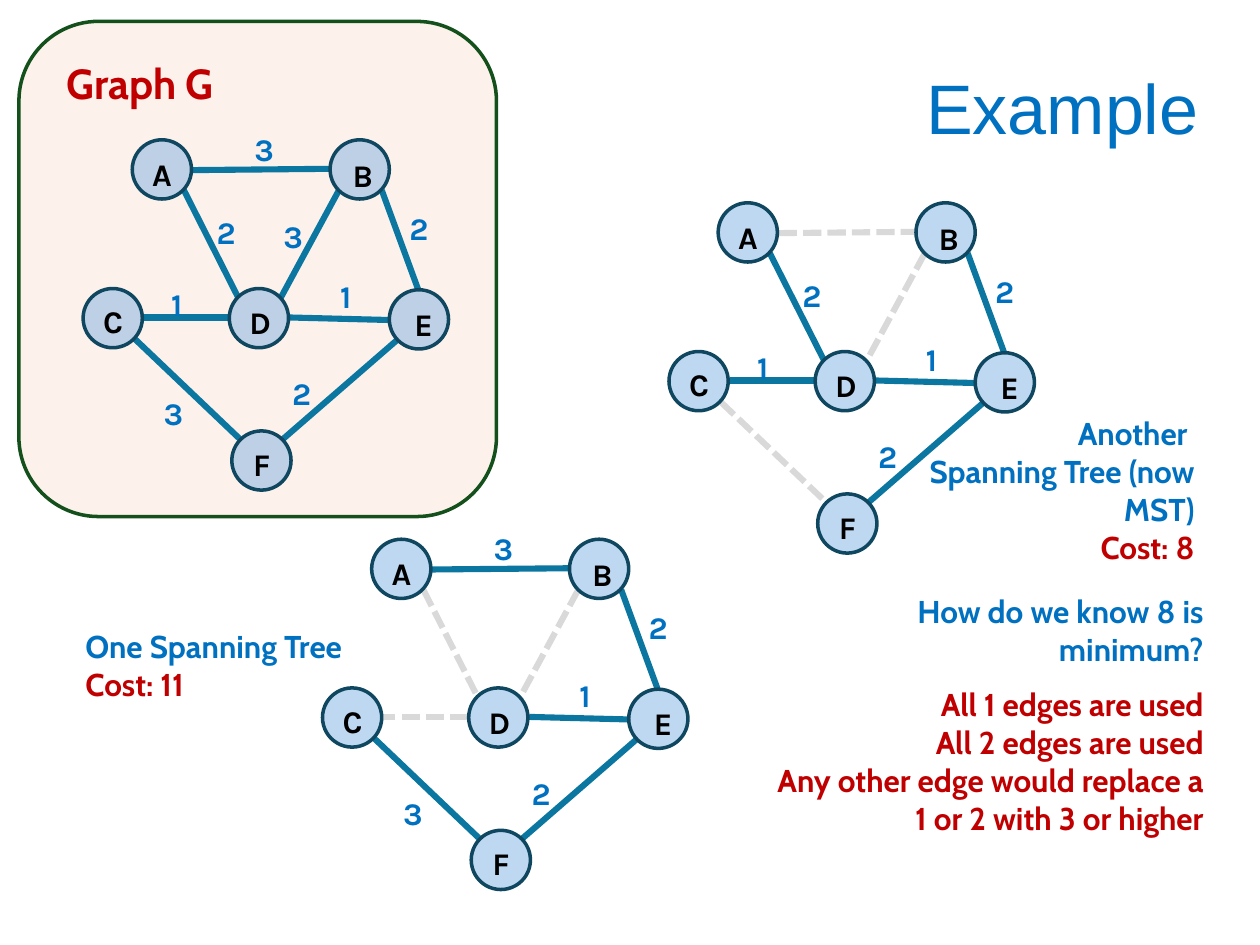
"""Builds the slide comparing a weighted graph with two of its spanning trees."""
from lxml.etree import SubElement
from pptx import Presentation
from pptx.dml.color import RGBColor
from pptx.enum.dml import MSO_LINE
from pptx.enum.shapes import MSO_CONNECTOR, MSO_SHAPE
from pptx.enum.text import MSO_ANCHOR, MSO_AUTO_SIZE, PP_ALIGN
from pptx.oxml.ns import qn
from pptx.util import Inches, Pt

BLUE = RGBColor(0x00, 0x70, 0xC0)
RED = RGBColor(0xC0, 0x00, 0x00)
BLACK = RGBColor(0x00, 0x00, 0x00)
NODE_FILL = RGBColor(0x71, 0xAA, 0xE0)
NODE_LINE = RGBColor(0x10, 0x47, 0x60)
EDGE = RGBColor(0x0B, 0x76, 0xA0)
UNUSED = RGBColor(0xD9, 0xD9, 0xD9)
PANEL_FILL = RGBColor(0xFB, 0xE3, 0xD6)
PANEL_LINE = RGBColor(0x13, 0x50, 0x1B)

NODE_SIZE = 0.47
LABEL_SIZE = (0.41, 0.4)

NODES = {
    "A": ((0, 0), (0.06, 0.07)),
    "B": ((1.57, 0), (0.08, 0.08)),
    "C": ((-0.39, 1.18), (0.06, 0.06)),
    "D": ((0.77, 1.18), (0.06, 0.07)),
    "E": ((2.04, 1.19), (0.1, 0.07)),
    "F": ((0.79, 2.31), (0.07, 0.06)),
}
EDGES = {
    "AB": ("3", (0.48, 0.24), (1.57, 0.23), (0.87, -0.13)),
    "AD": ("2", (0.41, 0.4), (0.84, 1.25), (0.57, 0.53)),
    "BD": ("3", (1.64, 0.4), (1.18, 1.25), (1.1, 0.56)),
    "BE": ("2", (1.98, 0.4), (2.27, 1.19), (2.1, 0.5)),
    "CD": ("1", (0.77, 1.41), (0.09, 1.41), (0.21, 1.1)),
    "DE": ("1", (2.04, 1.43), (1.25, 1.41), (1.55, 1.04)),
    "CF": ("3", (0.02, 1.58), (0.86, 2.38), (0.15, 1.97)),
    "EF": ("2", (2.1, 1.59), (1.19, 2.38), (1.17, 1.81)),
}


class Board:
    """Holds the text styles and the slide being drawn."""

    label = {"name": "Karla", "size": Pt(18), "bold": True}
    note = {"name": "Cabin", "size": Pt(18), "bold": True}
    heading = {"name": "Cabin", "size": Pt(24), "bold": True}
    title = {"name": "Arial", "size": Pt(40), "bold": False}

    def __init__(self, s):
        self.s = s

    def text(self, shapes, box, lines, style, align=PP_ALIGN.LEFT, **spacing):
        tb = shapes.add_textbox(*map(Inches, box))
        tf = tb.text_frame
        tf.word_wrap = True
        tf.auto_size = MSO_AUTO_SIZE.SHAPE_TO_FIT_TEXT
        for i, (words, color) in enumerate(lines):
            p = tf.add_paragraph() if i else tf.paragraphs[0]
            for key, value in {"alignment": align, **spacing}.items():
                setattr(p, key, value)
            r = p.add_run()
            r.text = words
            for key, value in style.items():
                setattr(r.font, key, value)
            r.font.color.rgb = color
        return tf

    def shape(self, shapes, kind, box, fill, line, opacity):
        sp = shapes.add_shape(kind, *map(Inches, box))
        sp.shadow.inherit = False
        sp.fill.solid()
        sp.fill.fore_color.rgb = fill
        color = sp._element.spPr.find(qn("a:solidFill")).find(qn("a:srgbClr"))
        SubElement(color, qn("a:alpha"), val=str(opacity * 1000))
        sp.line.color.rgb = line
        sp.line.width = Pt(2)

    def edge(self, shapes, start, end, used):
        line = shapes.add_connector(MSO_CONNECTOR.STRAIGHT, *map(Inches, start + end))
        line.line.color.rgb = EDGE if used else UNUSED
        line.line.width = Pt(3.5)
        if not used:
            line.line.dash_style = MSO_LINE.SQUARE_DOT
        SubElement(line._element.spPr, qn("a:effectLst"))

    def graph(self, left, top, unused=(), panel=None, heading=None):
        shapes = self.s.shapes.add_group_shape().shapes

        def at(point, offset=(0, 0)):
            return (left + point[0] + offset[0], top + point[1] + offset[1])

        def label(words, color, corner):
            self.text(shapes, corner + LABEL_SIZE, [(words, color)], self.label,
                      space_after=Pt(6))

        if panel:
            self.shape(shapes, MSO_SHAPE.ROUNDED_RECTANGLE, panel,
                       PANEL_FILL, PANEL_LINE, 47)
        for name, (weight, start, end, spot) in EDGES.items():
            self.edge(shapes, at(start), at(end), name not in unused)
            if name not in unused:
                label(weight, BLUE, at(spot))
        for name, (corner, offset) in NODES.items():
            self.shape(shapes, MSO_SHAPE.OVAL, at(corner) + (NODE_SIZE, NODE_SIZE),
                       NODE_FILL, NODE_LINE, 45)
            label(name, BLACK, at(corner, offset))
        if heading:
            words, box = heading
            self.text(shapes, box, [(words, RED)], self.heading)


def main():
    prs = Presentation()
    prs.slide_width, prs.slide_height = Inches(10), Inches(7.5)
    s = prs.slides.add_slide(prs.slide_layouts[6])
    board = Board(s)
    right = PP_ALIGN.RIGHT

    tf = board.text(s.shapes, (0.61, 0.26, 9, 1.25), [("Example", BLUE)],
                    board.title, right, line_spacing=0.9)
    tf.auto_size = MSO_AUTO_SIZE.NONE
    tf.vertical_anchor = MSO_ANCHOR.MIDDLE

    board.graph(2.95, 4.28, unused=("AD", "BD", "CD"))
    board.text(s.shapes, (0.58, 4.93, 2.77, 0.71),
               [("One Spanning Tree", BLUE), ("Cost: 11", RED)], board.note)
    board.graph(5.7, 1.61, unused=("AB", "BD", "CF"))
    board.text(s.shapes, (7.11, 3.24, 2.47, 1.31),
               [("Another ", BLUE), ("Spanning Tree (now MST)", BLUE), ("Cost: 8", RED)],
               board.note, right)
    board.text(s.shapes, (6.03, 4.65, 3.62, 0.71),
               [("How do we know 8 is minimum?", BLUE)], board.note, right)
    board.graph(1.05, 1.11, panel=(0.15, 0.17, 3.79, 3.93),
                heading=("Graph G", (0.43, 0.41, 1.8, 0.5)))
    board.text(s.shapes, (6.03, 5.39, 3.62, 1.62),
               [("All 1 edges are used", RED), ("All 2 edges are used", RED),
                ("Any other edge would replace a 1 or 2 with 3 or higher", RED)],
               board.note, right)
    prs.save("out.pptx")


if __name__ == "__main__":
    main()
